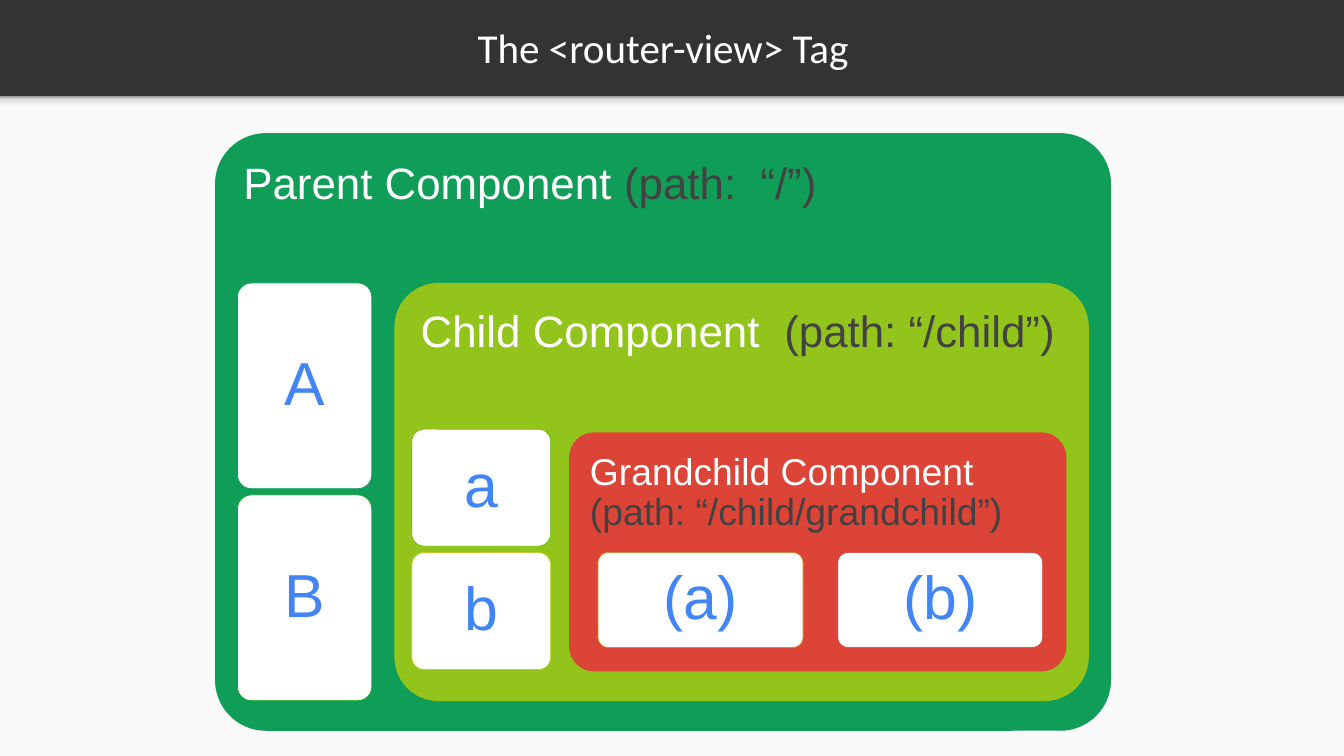
from lxml import etree
from pptx import Presentation
from pptx.dml.color import RGBColor
from pptx.enum import shapes, text
from pptx.oxml import ns
from pptx.util import Pt

WHITE = RGBColor(0xFF, 0xFF, 0xFF)
HEADER = RGBColor(0x33, 0x33, 0x33)
PAPER = RGBColor(0xFA, 0xFA, 0xFA)
PATH_GRAY = RGBColor(0x42, 0x42, 0x42)
CELL_BLUE = RGBColor(0x42, 0x85, 0xF4)
GREEN = RGBColor(0x0F, 0x9D, 0x58)
LIME = RGBColor(0x92, 0xC4, 0x1B)
RED = RGBColor(0xDB, 0x44, 0x37)

WIDTH, HEIGHT = 1440, 809.6
HEADER_HEIGHT = 103.4
INSET = 14.4
TITLE = "The <router-view> Tag"
HEADER_SHADOW = [(0, "F9F9F9"), (36, "F9F9F9"), (80, "DEDEDE"), (100, "999999")]

# Boxes are left, top, width, height; cells repeat from "first" by "step"
COMPONENTS = [
    dict(name="Parent Component ", route="(path:  “/”)", size=47, color=GREEN,
         box=(230.4, 142.6, 960, 640), corner=0.085,
         first=(254.4, 303, 144, 220.4), step=(0, 227),
         cells=[("A", RGBColor(0x0B, 0x9D, 0x56)), ("B", RGBColor(0x0F, 0xAD, 0x13))]),
    dict(name="Child Component  ", route="(path: “/child”)", size=47, color=LIME,
         box=(422.6, 303, 744, 447.8), corner=0.105,
         first=(441.2, 459.6, 148.8, 125.2), step=(0, 132.2),
         cells=[("a", RGBColor(0x61, 0xBD, 0x13)), ("b", RGBColor(0xC2, 0xCC, 0x18))]),
    dict(name="Grandchild Component ", route="(path: “/child/grandchild”)", size=40, color=RED,
         box=(609.8, 463, 532.8, 256), corner=0.105, route_below=True,
         first=(640.8, 591.8, 219.6, 101.5), step=(256.8, 0),
         cells=[("(a)", RGBColor(0xDA, 0x89, 0x1E)), ("(b)", RGBColor(0xDA, 0x3F, 0x32))]),
]


def add_box(slide, preset, box, fill, line=None):
    shape = slide.shapes.add_shape(preset, *map(Pt, box))
    shape.shadow.inherit = False
    shape.fill.solid()
    shape.fill.fore_color.rgb = fill
    if line is None:
        shape.line.fill.background()
    else:
        shape.line.color.rgb = line
        shape.line.width = Pt(0.75)
    return shape


def add_rounded(slide, box, fill, corner, line=None):
    shape = add_box(slide, shapes.MSO_SHAPE.ROUNDED_RECTANGLE, box, fill, line)
    shape.adjustments[0] = corner
    return shape


def start_text(shape, anchor, align):
    """Set up the text frame and return its first paragraph."""
    frame = shape.text_frame
    frame.word_wrap = True
    frame.vertical_anchor = anchor
    frame.margin_left = frame.margin_right = Pt(INSET)
    frame.margin_top = frame.margin_bottom = Pt(INSET)
    paragraph = frame.paragraphs[0]
    paragraph.alignment = align
    return paragraph


def add_run(paragraph, words, size, color, font="Arial"):
    run = paragraph.add_run()
    run.text = words
    run.font.name = font
    run.font.size = Pt(size)
    run.font.color.rgb = color


def set_upward_gradient(shape, stops):
    shape.fill.gradient()
    shape.fill.gradient_angle = 90
    stop_list = shape.fill._xPr.find(".//" + ns.qn("a:gsLst"))
    for old in list(stop_list):
        stop_list.remove(old)
    for position, color in stops:
        stop = etree.SubElement(stop_list, ns.qn("a:gs"), pos=str(position * 1000))
        etree.SubElement(stop, ns.qn("a:srgbClr"), val=color)


def add_header(slide):
    slide.background.fill.solid()
    slide.background.fill.fore_color.rgb = HEADER
    rectangle = shapes.MSO_SHAPE.RECTANGLE
    add_box(slide, rectangle, (0, HEADER_HEIGHT, WIDTH, HEIGHT - HEADER_HEIGHT), PAPER)
    shadow = add_box(slide, rectangle, (0, HEADER_HEIGHT - 0.4, WIDTH, 17.2), PAPER)
    set_upward_gradient(shadow, HEADER_SHADOW)
    title = slide.shapes.add_textbox(Pt(15.8), Pt(2.9), Pt(1389.6), Pt(95))
    paragraph = start_text(title, text.MSO_ANCHOR.MIDDLE, text.PP_ALIGN.CENTER)
    add_run(paragraph, TITLE, 44, WHITE, "Calibri")


def add_component(slide, part):
    panel = add_rounded(slide, part["box"], part["color"], part["corner"])
    paragraph = start_text(panel, text.MSO_ANCHOR.TOP, text.PP_ALIGN.LEFT)
    paragraph.line_spacing = 0.9
    add_run(paragraph, part["name"], part["size"], WHITE)
    if part.get("route_below"):
        paragraph.add_line_break()
    add_run(paragraph, part["route"], part["size"], PATH_GRAY)

    left, top, width, height = part["first"]
    step_x, step_y = part["step"]
    for i, (label, outline) in enumerate(part["cells"]):
        box = (left + i * step_x, top + i * step_y, width, height)
        cell = add_rounded(slide, box, WHITE, 0.105, outline)
        paragraph = start_text(cell, text.MSO_ANCHOR.MIDDLE, text.PP_ALIGN.CENTER)
        paragraph.line_spacing = 0.9
        add_run(paragraph, label, 65, CELL_BLUE)


def main():
    deck = Presentation()
    deck.slide_width, deck.slide_height = Pt(WIDTH), Pt(HEIGHT)
    slide = deck.slides.add_slide(deck.slide_layouts[6])
    add_header(slide)
    for part in COMPONENTS:
        add_component(slide, part)
    deck.save("out.pptx")


if __name__ == "__main__":
    main()
